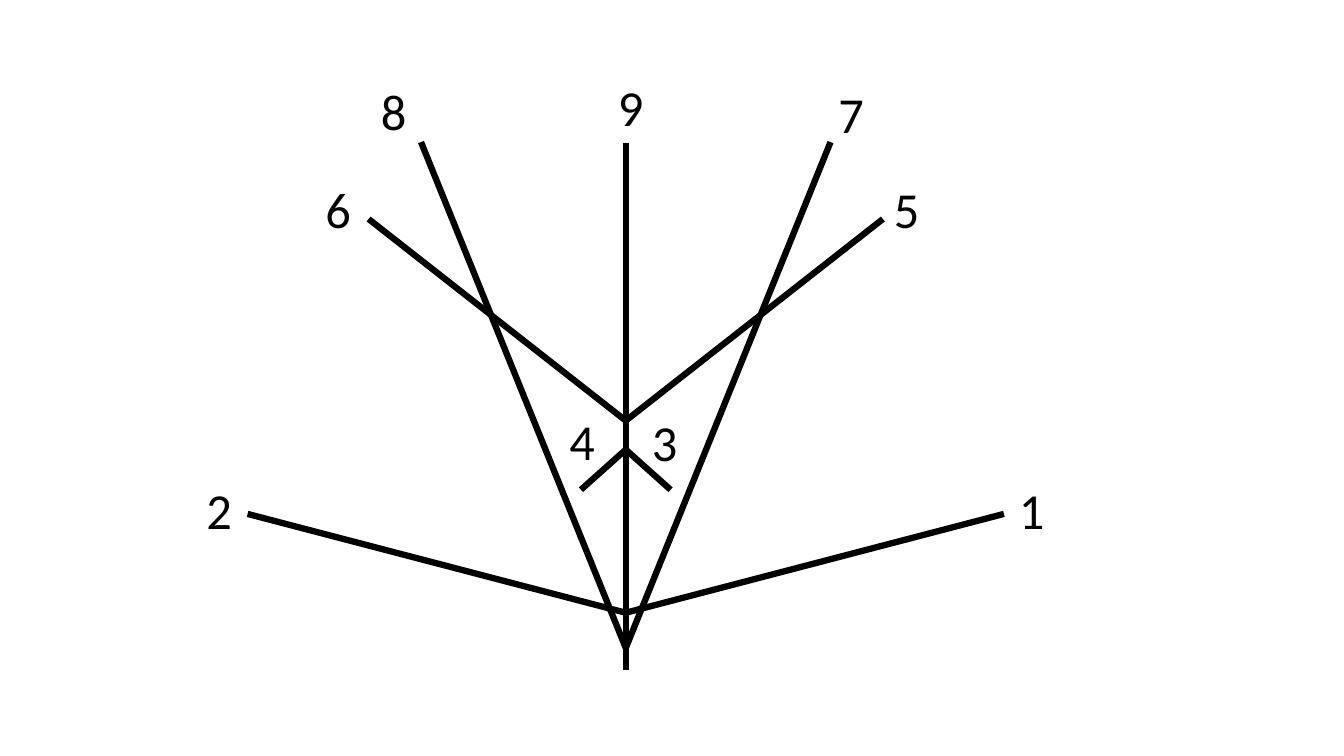
from lxml import etree
from pptx import Presentation
from pptx import util as u
from pptx.dml.color import RGBColor
from pptx.enum import shapes, text
from pptx.oxml.ns import qn

INK = {"line": "000000", "text": "000000"}


class Sketch:
    font = "Calibri"
    size = 36
    weight = 4.5

    def __init__(self, slide):
        self.slide = slide

    def line(self, x1, y1, x2, y2):
        kind = shapes.MSO_CONNECTOR.STRAIGHT
        ends = [u.Cm(v) for v in (x1, y1, x2, y2)]
        line = self.slide.shapes.add_connector(kind, *ends)
        line.line.width = u.Pt(self.weight)
        line.line.color.rgb = RGBColor.from_string(INK["line"])
        etree.SubElement(line._element.spPr, qn("a:effectLst"))

    def label(self, words, left, top):
        area = [u.Cm(v) for v in (left, top, 1.17, 1.8)]
        frame = self.slide.shapes.add_textbox(*area).text_frame
        frame.word_wrap = False
        frame.auto_size = text.MSO_AUTO_SIZE.SHAPE_TO_FIT_TEXT
        para = frame.paragraphs[0]
        para.text = words
        para.font.name = self.font
        para.font.size = u.Pt(self.size)
        para.font.color.rgb = RGBColor.from_string(INK["text"])


def main():
    deck = Presentation()
    deck.slide_width, deck.slide_height = u.Cm(33.87), u.Cm(19.05)
    sketch = Sketch(deck.slides.add_slide(deck.slide_layouts[6]))

    # Central stem
    stem = 15.77
    sketch.line(stem, 16.89, stem, 3.61)

    # Mirrored branches: root height, reach to each side, tip height
    pairs = [
        (15.44, 9.53, 12.95),
        (11.33, 1.13, 12.34),
        (10.6, 6.48, 5.52),
        (16.33, 5.16, 3.58),
    ]
    for root, reach, tip in pairs:
        for side in (1, -1):
            sketch.line(stem, root, stem + side * reach, tip)

    # Numbers in drawing order: left, top
    spots = [
        (25.43, 11.96), (4.95, 11.96),
        (16.18, 10.24), (14.1, 10.21),
        (22.28, 4.37), (7.95, 4.37),
        (20.88, 1.98), (9.35, 1.9),
        (15.32, 1.8),
    ]
    for num, spot in enumerate(spots, 1):
        sketch.label(str(num), *spot)

    deck.save("out.pptx")


if __name__ == "__main__":
    main()
